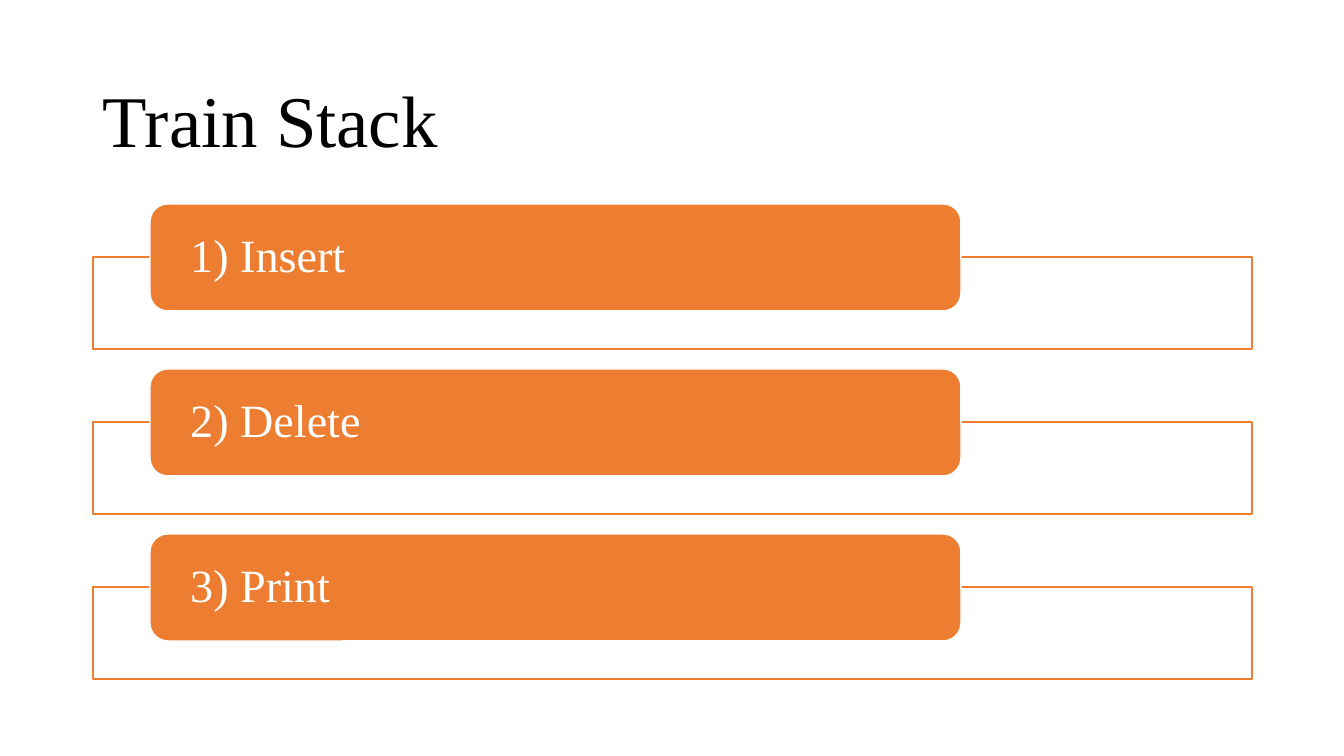
from pptx import Presentation
from pptx.dml.color import RGBColor
from pptx.enum.shapes import MSO_SHAPE
from pptx.enum.text import MSO_ANCHOR, PP_ALIGN
from pptx.util import Pt

RECTANGLE = MSO_SHAPE.RECTANGLE
ROUNDED = MSO_SHAPE.ROUNDED_RECTANGLE
MIDDLE = MSO_ANCHOR.MIDDLE
LEFT = PP_ALIGN.LEFT

EMU_PER_PX = 914400 / 100.8
FONT = "Times New Roman"
ORANGE, WHITE, BLACK = "ED7D31", "FFFFFF", "000000"

OPERATIONS = ["1) Insert", "2) Delete", "3) Print"]
FIRST_TOP, ROW_STEP = 204, 165


def px(length):
    return round(length * EMU_PER_PX)


def color(value):
    return RGBColor.from_string(value)


def set_all(target, values):
    for name, value in values.items():
        setattr(target, name, value)


def write_text(box, text, size, text_color, side_inset, space_after=0):
    frame = box.text_frame
    set_all(frame, {"word_wrap": True, "vertical_anchor": MIDDLE,
                    "margin_left": px(side_inset), "margin_right": px(side_inset),
                    "margin_top": 0, "margin_bottom": 0})
    para = frame.paragraphs[0]
    set_all(para, {"alignment": LEFT, "line_spacing": 0.9,
                   "space_after": Pt(space_after)})
    span = para.add_run()
    span.text = text
    set_all(span.font, {"name": FONT, "size": Pt(size)})
    span.font.color.rgb = color(text_color)


def add_box(page, kind, bounds, fill, line):
    box = page.shapes.add_shape(kind, *map(px, bounds))
    box.shadow.inherit = False
    box.fill.solid()
    box.fill.fore_color.rgb = color(fill)
    box.line.color.rgb = color(line)
    box.line.width = Pt(1)
    return box


def add_title(page, text):
    box = page.shapes.add_textbox(*map(px, (93, 61, 1159, 125)))
    write_text(box, text, 52, BLACK, 10)


def add_operation(page, text, top):
    # Outlined frame behind, label bar over its upper edge
    add_box(page, RECTANGLE, (93, top + 53, 1159, 92), WHITE, ORANGE)
    label = add_box(page, ROUNDED, (150, top, 811, 107), ORANGE, WHITE)
    write_text(label, text, 33, WHITE, 35, space_after=12)


def main():
    deck = Presentation()
    set_all(deck, {"slide_width": px(1344), "slide_height": px(756)})
    page = deck.slides.add_slide(deck.slide_layouts[6])

    # Heading
    add_title(page, "Train Stack")

    # Stack operations
    for row, text in enumerate(OPERATIONS):
        add_operation(page, text, FIRST_TOP + row * ROW_STEP)

    deck.save("out.pptx")


if __name__ == "__main__":
    main()
